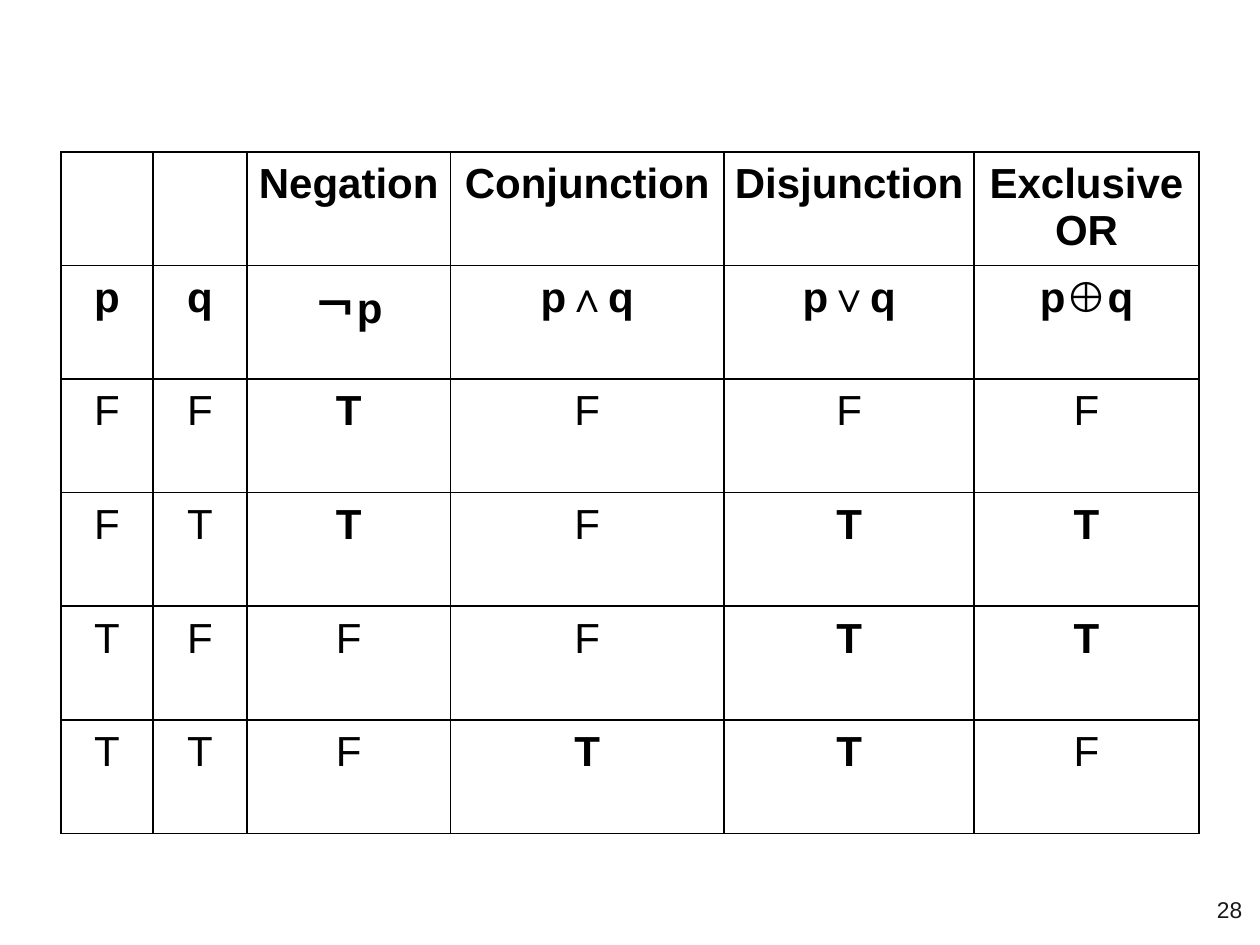
import pptx
import pptx.util
import pptx.dml.color
import pptx.enum.text
import pptx.oxml.ns
import lxml.etree

Cm, Pt = pptx.util.Cm, pptx.util.Pt
ALIGN = pptx.enum.text.PP_ALIGN
BLACK = pptx.dml.color.RGBColor(0x00, 0x00, 0x00)
DARK_GREY = pptx.dml.color.RGBColor(0x19, 0x19, 0x19)

COL_WIDTHS = [1.85, 1.9, 4.1, 5.52, 5.04, 4.53]
ROW_HEIGHT = 2.29
ROWS = [
    ["", "", "Negation", "Conjunction", "Disjunction", "Exclusive OR"],
    ["p", "q", "￢p", "p∧q", "p∨q", "p⊕q"],
    ["F", "F", "T", "F", "F", "F"],
    ["F", "T", "T", "F", "T", "T"],
    ["T", "F", "F", "F", "T", "T"],
    ["T", "T", "F", "T", "T", "F"],
]
HEADER_ROWS = 2
INPUT_COLS = 2


def add_borders(cell):
    tc_pr = cell._tc.get_or_add_tcPr()
    qn = pptx.oxml.ns.qn
    for side in ("a:lnL", "a:lnR", "a:lnT", "a:lnB"):
        ln = lxml.etree.SubElement(tc_pr, qn(side), w=str(Pt(1)))
        fill = lxml.etree.SubElement(ln, qn("a:solidFill"))
        lxml.etree.SubElement(fill, qn("a:srgbClr"), val=str(BLACK))


def style_text(p, size, color, align, bold=False):
    p.alignment = align
    for r in p.runs:
        r.font.name = "Arial"
        r.font.size = Pt(size)
        r.font.bold = bold
        r.font.color.rgb = color


prs = pptx.Presentation()
prs.slide_width, prs.slide_height = Cm(25.4), Cm(19.05)
s = prs.slides.add_slide(prs.slide_layouts[6])

# Truth table
frame = s.shapes.add_table(len(ROWS), len(COL_WIDTHS), Cm(1.23), Cm(3.06),
                           Cm(sum(COL_WIDTHS)), Cm(ROW_HEIGHT * len(ROWS)))
table = frame.table
table.first_row = False
table.horz_banding = False
for col, width in zip(table.columns, COL_WIDTHS):
    col.width = Cm(width)

for i, values in enumerate(ROWS):
    table.rows[i].height = Cm(ROW_HEIGHT)
    for j, value in enumerate(values):
        cell = table.cell(i, j)
        cell.margin_left = cell.margin_right = Cm(0.18)
        cell.margin_top = cell.margin_bottom = Cm(0.18)
        add_borders(cell)
        cell.fill.background()
        cell.text_frame.text = value
        # Headings and every true result stand out
        bold = i < HEADER_ROWS or (j >= INPUT_COLS and value == "T")
        style_text(cell.text_frame.paragraphs[0], 24, BLACK, ALIGN.CENTER, bold)

# Slide number
sp = s.shapes.add_textbox(Cm(23.77), Cm(17.6), Cm(1.52), Cm(1.45))
tf = sp.text_frame
tf.word_wrap = True
tf.vertical_anchor = pptx.enum.text.MSO_ANCHOR.MIDDLE
tf.margin_left = tf.margin_right = tf.margin_top = tf.margin_bottom = Cm(0.25)
tf.text = "28"
style_text(tf.paragraphs[0], 13, DARK_GREY, ALIGN.RIGHT)

prs.save("out.pptx")
